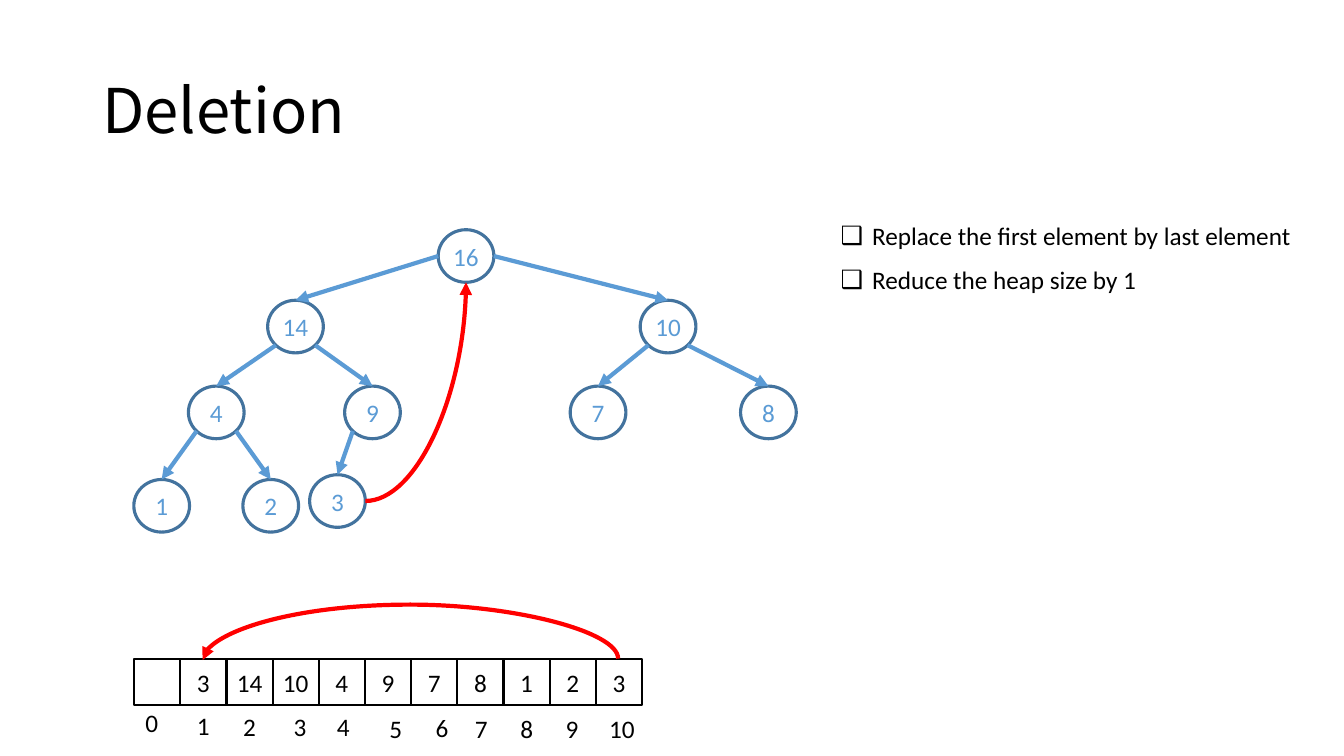
from dataclasses import dataclass

from lxml.etree import SubElement
from pptx import Presentation
from pptx.dml.color import RGBColor
from pptx.enum.shapes import MSO_CONNECTOR as Route, MSO_SHAPE as Preset
from pptx.enum.text import MSO_ANCHOR as Anchor, MSO_AUTO_SIZE as AutoSize, PP_ALIGN as Align
from pptx.oxml.ns import qn
from pptx.shapes.connector import Connector
from pptx.shapes.shapetree import SlideShapes
from pptx.slide import Slide
from pptx.text.text import TextFrame, _Paragraph as Paragraph
from pptx.util import Pt

COLOURS = {"text": "000000", "edge": "5B9BD5", "ring": "43739E", "move": "FF0000"}
NODE_WIDTH, NODE_HEIGHT = 39.8, 37.6
DIAGONAL = 0.5 ** 0.5
ARRAY_LEFT, ARRAY_TOP, CELL = 95.8, 470.9, 32.98
LABEL_WIDTH, LABEL_HEIGHT = 40, 22
STEPS = ("Replace the first element by last element", "Reduce the heap size by 1")


@dataclass(frozen=True)
class Node:
    value: str
    left: float
    top: float

    @property
    def centre(self) -> tuple[float, float]:
        return self.left + NODE_WIDTH / 2, self.top + NODE_HEIGHT / 2

    def site(self, across: float, down: float) -> tuple[float, float]:
        x, y = self.centre
        return x + across * NODE_WIDTH / 2, y + down * NODE_HEIGHT / 2


@dataclass(frozen=True)
class Cell:
    value: str
    index_centre: float
    index_top: float


HEAP = (
    Node("16", 313, 164.1),
    Node("14", 191.2, 214.5),
    Node("10", 457.3, 214.5),
    Node("4", 134.6, 275.8),
    Node("9", 246.2, 275.8),
    Node("7", 407.3, 275.8),
    Node("8", 529, 275.8),
    Node("1", 95.6, 342.5),
    Node("2", 173.5, 342.5),
    Node("3", 221.2, 339.1),
)

CELLS = (
    Cell("", 108.4, 505.4),
    Cell("3", 145.1, 506.9),
    Cell("14", 178.2, 507.6),
    Cell("10", 214.2, 507.6),
    Cell("4", 245.2, 507.6),
    Cell("9", 282.6, 509),
    Cell("7", 315.7, 508.3),
    Cell("8", 343.8, 509),
    Cell("1", 376.2, 509),
    Cell("2", 408.6, 509),
    Cell("3", 444.2, 509),
)


def colour(name: str) -> RGBColor:
    return RGBColor.from_string(COLOURS[name])


def add_run(paragraph: Paragraph, wording: str, tint: str = "text",
            size: float = 18, face: str = "Calibri") -> None:
    run = paragraph.add_run()
    run.text = wording
    run.font.name = face
    run.font.size = Pt(size)
    run.font.color.rgb = colour(tint)


def centre_text(frame: TextFrame, wording: str, tint: str) -> None:
    frame.margin_left = frame.margin_right = frame.margin_top = frame.margin_bottom = 0
    frame.word_wrap = True
    frame.vertical_anchor = Anchor.MIDDLE
    frame.paragraphs[0].alignment = Align.CENTER
    if wording:
        add_run(frame.paragraphs[0], wording, tint)


def add_outlined(shapes: SlideShapes, preset: Preset, left: float, top: float, width: float,
                 height: float, wording: str, outline: str, weight: float, tint: str) -> None:
    outlined = shapes.add_shape(preset, Pt(left), Pt(top), Pt(width), Pt(height))
    outlined.shadow.inherit = False
    outlined.fill.background()
    outlined.line.color.rgb = colour(outline)
    outlined.line.width = Pt(weight)
    centre_text(outlined.text_frame, wording, tint)


def add_arrow(shapes: SlideShapes, route: Route, start: tuple[float, float],
              end: tuple[float, float], tint: str) -> Connector:
    arrow = shapes.add_connector(route, *(Pt(value) for value in (*start, *end)))
    arrow.line.color.rgb = colour(tint)
    arrow.line.width = Pt(3)
    properties = arrow._element.spPr
    SubElement(properties.find(qn("a:ln")), qn("a:tailEnd"), type="triangle")
    SubElement(properties, qn("a:effectLst"))
    return arrow


def draw_heap(shapes: SlideShapes) -> None:
    for position, node in enumerate(HEAP):
        add_outlined(shapes, Preset.OVAL, node.left, node.top, NODE_WIDTH, NODE_HEIGHT,
                     node.value, "ring", 2.25, "edge")
        if position:
            parent = HEAP[(position - 1) // 2]
            side = -1 if position % 2 else 1
            if parent is HEAP[0]:
                start = parent.site(side, 0)
            else:
                start = parent.site(side * DIAGONAL, DIAGONAL)
            add_arrow(shapes, Route.STRAIGHT, start, node.site(0, -1), "edge")


def draw_array(shapes: SlideShapes) -> None:
    for index, cell in enumerate(CELLS):
        add_outlined(shapes, Preset.RECTANGLE, ARRAY_LEFT + index * CELL, ARRAY_TOP,
                     CELL, CELL, cell.value, "text", 1.5, "text")
        label = shapes.add_textbox(Pt(cell.index_centre - LABEL_WIDTH / 2),
                                   Pt(cell.index_top), Pt(LABEL_WIDTH), Pt(LABEL_HEIGHT))
        centre_text(label.text_frame, str(index), "text")


def draw_moves(shapes: SlideShapes) -> None:
    to_root = add_arrow(shapes, Route.CURVE, HEAP[-1].site(1, 0), HEAP[0].site(0, 1), "move")
    to_root._element.spPr.find(qn("a:prstGeom")).set("prst", "curvedConnector2")

    middle, span, rise = 293.2, 296.8, 38.9
    to_front = add_arrow(shapes, Route.CURVE, (middle + 0.5, ARRAY_TOP + span / 2),
                         (middle - 0.5, ARRAY_TOP - span / 2), "move")
    properties = to_front._element.spPr
    properties.find(qn("a:xfrm")).set("rot", str(270 * 60000))
    geometry = properties.find(qn("a:prstGeom"))
    adjustments = geometry.find(qn("a:avLst"))
    if adjustments is None:
        adjustments = SubElement(geometry, qn("a:avLst"))
    SubElement(adjustments, qn("a:gd"), name="adj1", fmla=f"val {round(-rise * 100000)}")


def write_title(slide: Slide) -> None:
    title = slide.shapes.title
    title.left, title.top, title.width, title.height = Pt(66), Pt(28.8), Pt(828), Pt(104.4)
    title.text_frame.vertical_anchor = Anchor.MIDDLE
    heading = title.text_frame.paragraphs[0]
    heading.alignment = Align.LEFT
    heading.line_spacing = 0.9
    add_run(heading, "Deletion", size=44, face="Noto Sans CJK SC")


def write_steps(slide: Slide) -> None:
    body = slide.placeholders[1]
    body.left, body.top, body.width, body.height = Pt(593.3), Pt(154.1), Pt(355), Pt(62)
    frame = body.text_frame
    frame.auto_size = AutoSize.NONE
    frame.word_wrap = True
    frame.vertical_anchor = Anchor.TOP
    for position, step in enumerate(STEPS):
        paragraph = frame.add_paragraph() if position else frame.paragraphs[0]
        properties = paragraph._p.get_or_add_pPr()
        properties.set("marL", str(Pt(22.5)))
        properties.set("indent", str(-Pt(22.5)))
        SubElement(properties, qn("a:buFont"), typeface="Calibri")
        SubElement(properties, qn("a:buChar"), char="❑")
        paragraph.alignment = Align.LEFT
        paragraph.line_spacing = 1.0
        paragraph.space_before = Pt(9.7 if position else 0)
        add_run(paragraph, step)


def main() -> None:
    deck = Presentation()
    deck.slide_width, deck.slide_height = Pt(960), Pt(540)
    slide = deck.slides.add_slide(deck.slide_layouts[1])
    write_title(slide)
    write_steps(slide)
    draw_array(slide.shapes)
    draw_heap(slide.shapes)
    draw_moves(slide.shapes)
    deck.save("out.pptx")


if __name__ == "__main__":
    main()
